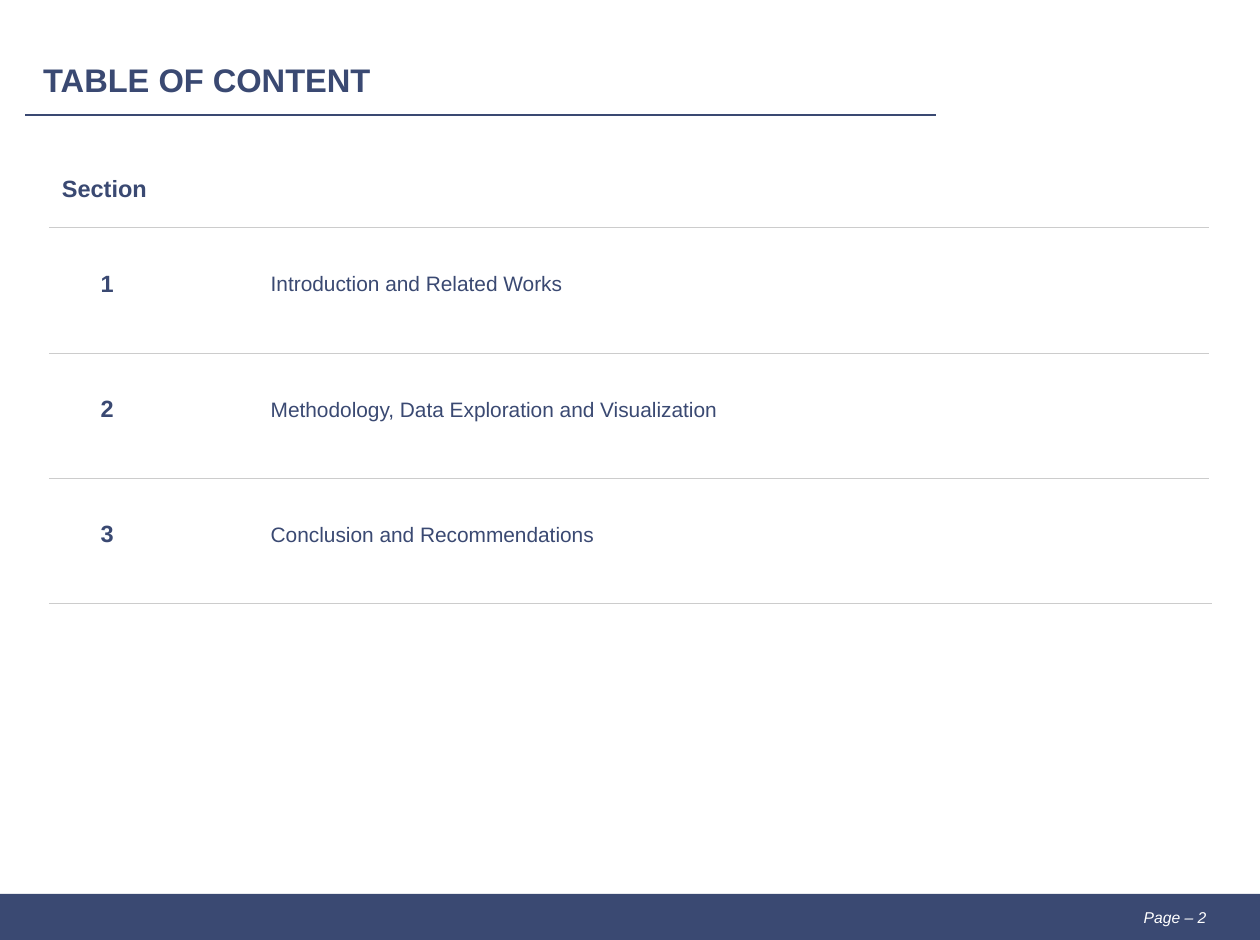
"""Build the table of content slide."""
from dataclasses import dataclass

from pptx import Presentation
from pptx.dml.color import RGBColor as Rgb
from pptx.enum.shapes import MSO_CONNECTOR as Connector, MSO_SHAPE as Preset
from pptx.enum.text import MSO_ANCHOR as Anchor, PP_ALIGN as Align
from pptx.oxml.ns import qn
from pptx.util import Pt
from lxml.etree import SubElement


@dataclass(frozen=True)
class Theme:
    """Colours, font and type sizes of the slide."""
    navy: Rgb = Rgb(0x3A, 0x49, 0x72)
    grey: Rgb = Rgb(0xCC, 0xCC, 0xCC)
    white: Rgb = Rgb(0xFF, 0xFF, 0xFF)
    font: str = "Arial"
    title: int = 25
    section: int = 18
    topic: int = 16
    page: int = 12


THEME = Theme()
WIDTH, HEIGHT = 964.8, 720
ROW_PITCH = 96
FIRST_RULE = 174.2
RULE_LEFT, RULE_RIGHT = 37.4, 925.9
TOPICS = (
    "Introduction and Related Works",
    "Methodology, Data Exploration and Visualization",
    "Conclusion and Recommendations",
)


def write(frame, text, size, color, bold=False, italic=False):
    """Put one formatted paragraph in a text frame and return it."""
    frame.text = text
    line = frame.paragraphs[0]
    font = line.runs[0].font
    font.name, font.size, font.bold, font.italic = THEME.font, Pt(size), bold, italic
    font.color.rgb = color
    return line


def set_insets(frame, side, end):
    """Set the horizontal and vertical insets of a text frame."""
    frame.margin_left = frame.margin_right = Pt(side)
    frame.margin_top = frame.margin_bottom = Pt(end)


def add_label(slide, box, text, size, bold=False, anchor=Anchor.MIDDLE, insets=(7.9, 4)):
    """Add a wrapped navy text box."""
    frame = slide.shapes.add_textbox(*map(Pt, box)).text_frame
    frame.word_wrap = True
    frame.vertical_anchor = anchor
    set_insets(frame, *insets)
    write(frame, text, size, THEME.navy, bold)


def add_rule(slide, left, right, y, color, weight):
    """Add a horizontal line without a shadow."""
    rule = slide.shapes.add_connector(Connector.STRAIGHT, Pt(left), Pt(y), Pt(right), Pt(y))
    rule.line.color.rgb = color
    rule.line.width = Pt(weight)
    SubElement(rule._element.spPr, qn("a:effectLst"))


def add_footer(slide, text):
    """Add the full-width footer band with the page number."""
    top = 684.7
    band = slide.shapes.add_shape(Preset.RECTANGLE, 0, Pt(top), Pt(WIDTH), Pt(HEIGHT - top))
    band.shadow.inherit = False
    band.fill.solid()
    band.fill.fore_color.rgb = THEME.navy
    band.line.fill.background()
    frame = band.text_frame
    frame.vertical_anchor = Anchor.MIDDLE
    set_insets(frame, 7.9, 4)
    frame.margin_right = Pt(41)
    write(frame, text, THEME.page, THEME.white, italic=True).alignment = Align.RIGHT


def add_section(slide, index, topic):
    """Add the number, topic and closing rule of one section."""
    offset = index * ROW_PITCH
    add_label(slide, (69.1, 201.6 + offset, 171.4, 30.2), str(index + 1), THEME.section, bold=True)
    add_label(slide, (199.4, 203.4 + offset, 475.2, 27.4), topic, THEME.topic)
    add_rule(slide, RULE_LEFT, RULE_RIGHT, FIRST_RULE + offset + ROW_PITCH, THEME.grey, 0.25)


def main():
    """Build and save the slide."""
    deck = Presentation()
    deck.slide_width, deck.slide_height = Pt(WIDTH), Pt(HEIGHT)
    slide = deck.slides.add_slide(deck.slide_layouts[6])

    add_rule(slide, 19.4, 717.1, 87.8, THEME.navy, 1.5)
    add_footer(slide, "Page – 2")
    add_label(slide, (25.2, 41.8, 889.2, 38.2), "TABLE OF CONTENT", THEME.title,
              bold=True, anchor=Anchor.TOP)
    add_label(slide, (40.3, 129.6, 171.4, 28.8), "Section", THEME.section,
              bold=True, insets=(7.2, 3.6))
    add_rule(slide, RULE_LEFT, RULE_RIGHT, FIRST_RULE, THEME.grey, 0.25)
    for index, topic in enumerate(TOPICS):
        add_section(slide, index, topic)
    last_rule = FIRST_RULE + len(TOPICS) * ROW_PITCH
    add_rule(slide, 40.3, 928.1, last_rule, THEME.grey, 0.25)

    deck.save("out.pptx")


if __name__ == "__main__":
    main()
